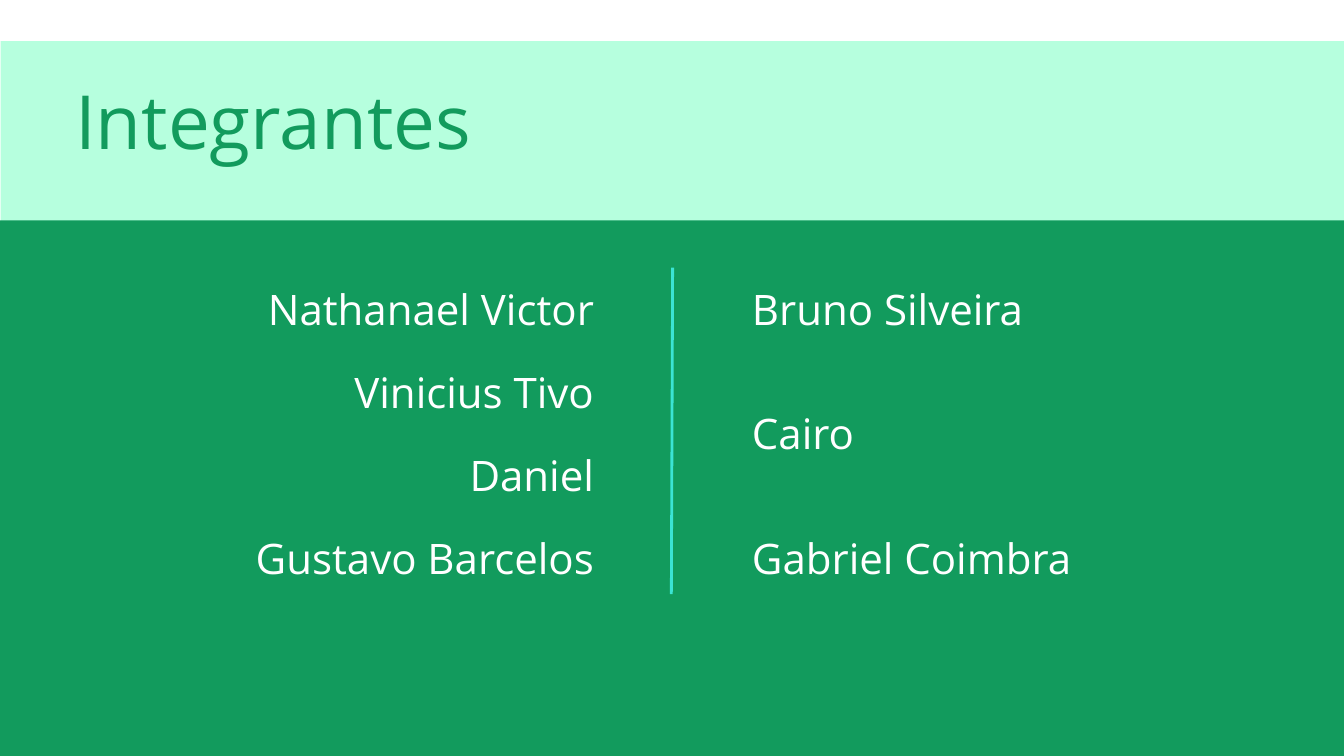
from lxml.etree import SubElement
from pptx import Presentation
from pptx.dml.color import RGBColor
from pptx.enum.shapes import MSO_CONNECTOR as CONN, MSO_SHAPE as SHAPE
from pptx.enum.text import MSO_ANCHOR as ANCHOR, MSO_AUTO_SIZE as AUTO, PP_ALIGN as ALIGN
from pptx.oxml.ns import qn
from pptx.util import Pt

WIDTH, HEIGHT = 1440, 810
FONT = "Open Sans"
MINT, GREEN, WHITE, CYAN = "B6FFDE", "129B5D", "FFFFFF", "3BE4D4"

TITLE = "Integrantes"
BANDS = [
    (0.72, 44, WIDTH, 243, MINT),
    (0, 236, WIDTH, HEIGHT - 236, GREEN),
]
COLUMNS = [
    (170, 466.5, ALIGN.RIGHT,
     ["Nathanael Victor", "Vinicius Tivo", "Daniel", "Gustavo Barcelos"]),
    (805.7, 466.5, ALIGN.LEFT,
     ["Bruno Silveira", "Cairo", "Gabriel Coimbra"]),
]
FIRST_TOP, LAST_TOP, NAME_HEIGHT = 294.4, 561.6, 60.5
DIVIDER = (720.7, 286.8, 719.3, 636.5)


def rgb(color):
    return RGBColor.from_string(color)


def format_text(sp, text, size, spacing, color, align):
    tf = sp.text_frame
    tf.text = text
    tf.word_wrap = True
    tf.auto_size = AUTO.NONE
    tf.vertical_anchor = ANCHOR.TOP
    tf.margin_left = tf.margin_top = tf.margin_right = tf.margin_bottom = 0
    p = tf.paragraphs[0]
    p.alignment = align
    p.line_spacing = Pt(spacing)
    p.space_before = Pt(0)
    font = p.runs[0].font
    font.name, font.size, font.color.rgb = FONT, Pt(size), rgb(color)


prs = Presentation()
prs.slide_width, prs.slide_height = Pt(WIDTH), Pt(HEIGHT)
s = prs.slides.add_slide(prs.slide_layouts[5])

for *box, color in BANDS:
    band = s.shapes.add_shape(SHAPE.RECTANGLE, *map(Pt, box))
    band.shadow.inherit = False
    band.fill.solid()
    band.fill.fore_color.rgb = rgb(color)
    band.line.fill.background()

title = s.shapes.title
title.left, title.top, title.width, title.height = map(Pt, (80.6, 80, 1029.6, 96.5))
format_text(title, TITLE, 80, 96, GREEN, ALIGN.JUSTIFY)
title.element.getparent().append(title.element)

for left, width, align, names in COLUMNS:
    step = (LAST_TOP - FIRST_TOP) / (len(names) - 1)
    for i, name in enumerate(names):
        box = (left, FIRST_TOP + i * step, width, NAME_HEIGHT)
        sp = s.shapes.add_textbox(*map(Pt, box))
        format_text(sp, name, 45, 63, WHITE, align)

divider = s.shapes.add_connector(CONN.STRAIGHT, *map(Pt, DIVIDER))
divider.line.color.rgb = rgb(CYAN)
divider.line.width = Pt(3)
SubElement(divider.element.spPr, qn("a:effectLst"))

prs.save("out.pptx")
